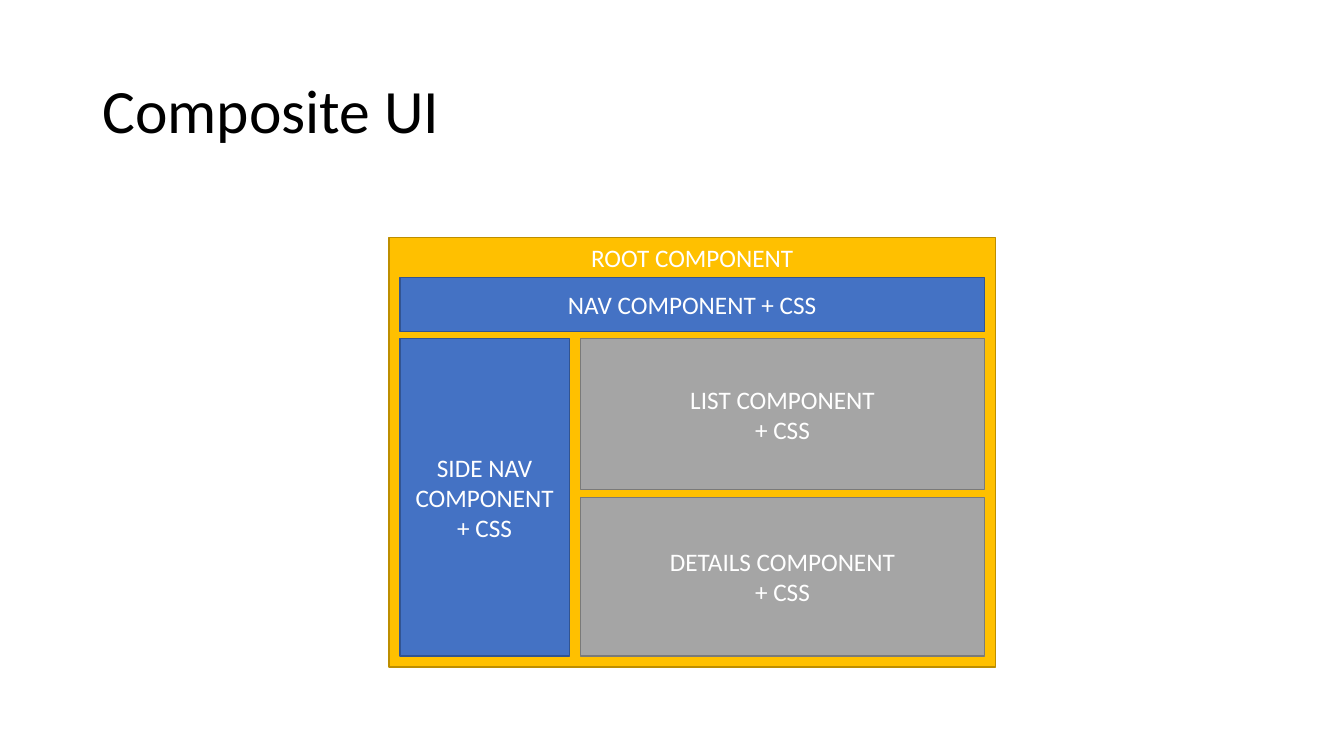
from pptx import Presentation
from pptx.dml.color import RGBColor
from pptx.enum.shapes import MSO_SHAPE
from pptx.enum.text import MSO_ANCHOR, PP_ALIGN
from pptx.util import Cm, Pt

TITLE = "Composite UI"
COMPONENTS = {
    "root": ["ROOT COMPONENT"],
    "nav": ["NAV COMPONENT + CSS"],
    "side": ["SIDE NAV COMPONENT", "+ CSS"],
    "list": ["LIST COMPONENT", "+ CSS"],
    "details": ["DETAILS COMPONENT", "+ CSS"],
}

THEME = {
    "font": "Calibri",
    "title": {"size": Pt(44), "color": "000000"},
    "label": {"size": Pt(18), "color": "FFFFFF"},
    "root": ("FFC000", "BD8E00"),
    "navigation": ("4472C4", "325491"),
    "content": ("A5A5A5", "7A7A7A"),
}
ROLES = {"root": "root", "nav": "navigation", "side": "navigation",
         "list": "content", "details": "content"}

# Lengths in centimetres
TITLE_BOX = (2.33, 1.02, 29.2, 3.68)
ROOT_BOX = (9.8, 5.99, 15.29, 10.82)
PADDING = 0.28
ROOT_LABEL_HEIGHT = 1.0
NAV_HEIGHT, SIDE_WIDTH, LIST_HEIGHT = 1.37, 4.27, 3.81
NAV_GAP, COLUMN_GAP, ROW_GAP = 0.17, 0.28, 0.2


def component_boxes():
    """Nest the components inside the root, as left, top, width, height."""
    root_left, root_top, root_width, root_height = ROOT_BOX
    left, right = root_left + PADDING, root_left + root_width - PADDING
    bottom = root_top + root_height - PADDING
    nav_top = root_top + ROOT_LABEL_HEIGHT
    body_top = nav_top + NAV_HEIGHT + NAV_GAP
    content_left = left + SIDE_WIDTH + COLUMN_GAP
    content_width = right - content_left
    details_top = body_top + LIST_HEIGHT + ROW_GAP
    return {
        "root": ROOT_BOX,
        "nav": (left, nav_top, right - left, NAV_HEIGHT),
        "side": (left, body_top, SIDE_WIDTH, bottom - body_top),
        "list": (content_left, body_top, content_width, LIST_HEIGHT),
        "details": (content_left, details_top, content_width, bottom - details_top),
    }


def write(frame, lines, style, anchor, paragraph_format):
    frame.word_wrap = True
    frame.vertical_anchor = anchor
    frame.text = "\n".join(lines)
    for paragraph in frame.paragraphs:
        for attribute, value in paragraph_format.items():
            setattr(paragraph, attribute, value)
        for attribute, value in {"name": THEME["font"], "size": style["size"]}.items():
            setattr(paragraph.font, attribute, value)
        paragraph.font.color.rgb = RGBColor.from_string(style["color"])


def add_component(slide, box, lines, role, anchor):
    component = slide.shapes.add_shape(MSO_SHAPE.RECTANGLE, *map(Cm, box))
    component.shadow.inherit = False
    fill, outline = map(RGBColor.from_string, THEME[role])
    component.fill.solid()
    component.fill.fore_color.rgb = fill
    component.line.color.rgb = outline
    component.line.width = Pt(1)
    write(component.text_frame, lines, THEME["label"], anchor,
          {"alignment": PP_ALIGN.CENTER})


def main():
    presentation = Presentation()
    presentation.slide_width, presentation.slide_height = Cm(33.87), Cm(19.05)
    slide = presentation.slides.add_slide(presentation.slide_layouts[6])

    title = slide.shapes.add_textbox(*map(Cm, TITLE_BOX))
    write(title.text_frame, [TITLE], THEME["title"], MSO_ANCHOR.MIDDLE,
          {"alignment": PP_ALIGN.LEFT, "line_spacing": 0.9})

    for part, box in component_boxes().items():
        anchor = MSO_ANCHOR.TOP if part == "root" else MSO_ANCHOR.MIDDLE
        add_component(slide, box, COMPONENTS[part], ROLES[part], anchor)

    presentation.save("out.pptx")


if __name__ == "__main__":
    main()
